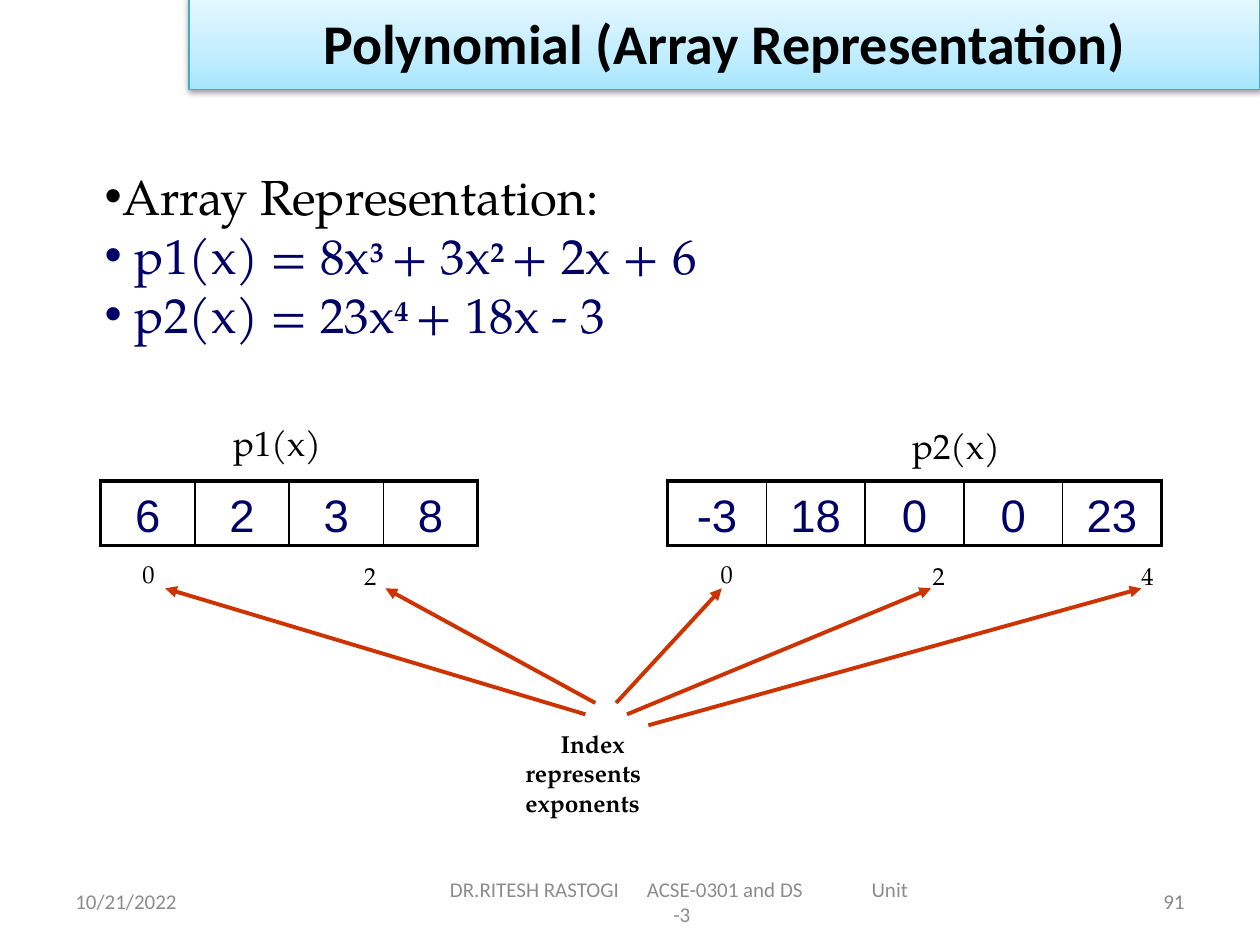
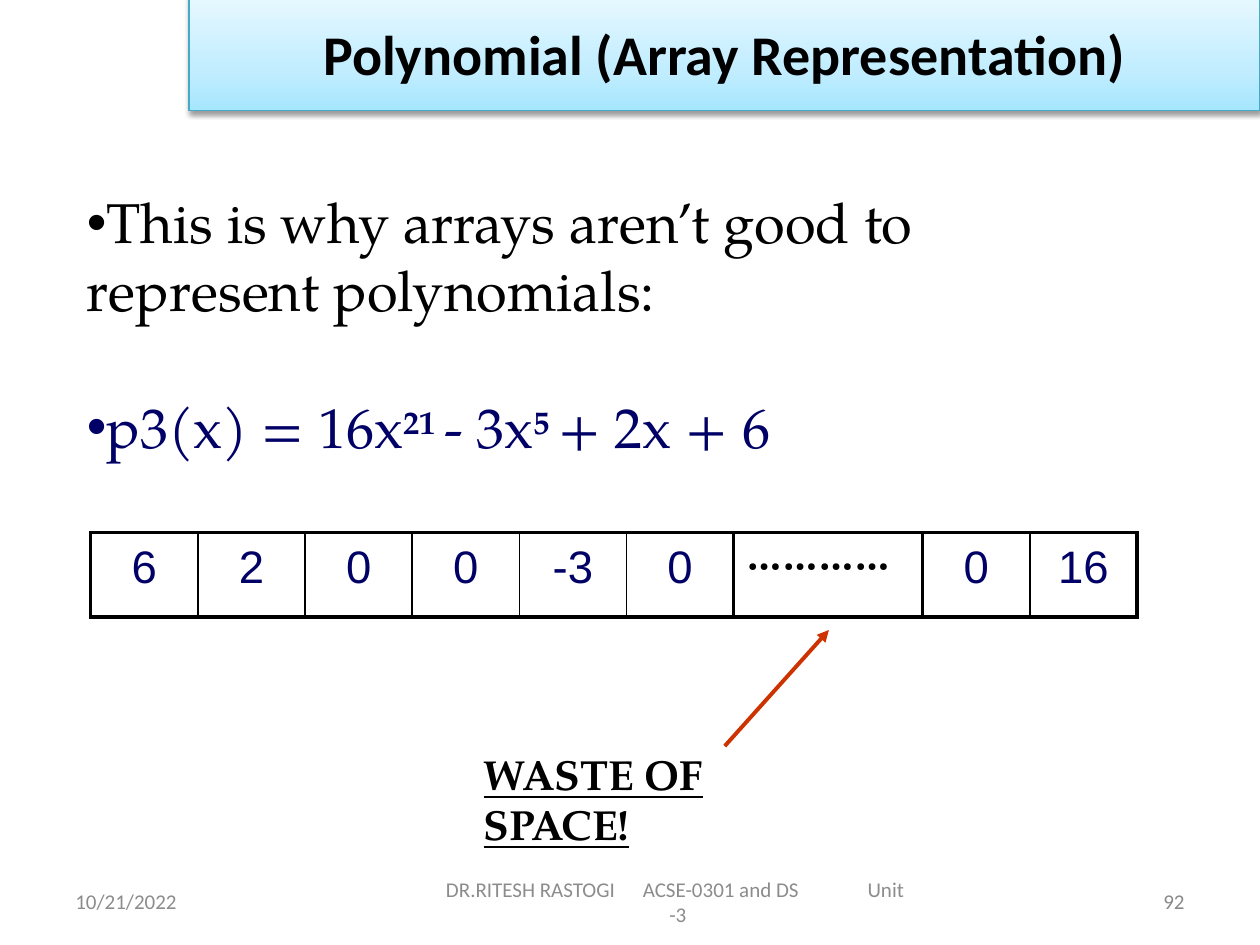
from pptx import Presentation
from pptx.dml.color import RGBColor
from pptx.enum.shapes import MSO_CONNECTOR, MSO_SHAPE
from pptx.enum.text import MSO_ANCHOR, PP_ALIGN
from pptx.oxml import parse_xml
from pptx.oxml.ns import nsdecls
from pptx.util import Cm, Pt

COLORS = {
    "ink": "000000", "navy": "000066", "arrow": "CC3300", "footer": "8C8C8C",
    "page": "898989", "band_edge": "46AAC5",
}
BAND_STOPS = [(0, "A7E6FF"), (35, "C1EDFF"), (100, "E7F8FF")]
SERIF, SANS, CELL_FONT = "TeX Gyre Pagella", "Calibri", "Arial"
GAP = "…………"

TITLE = "Polynomial (Array Representation)"
DATE = "10/21/2022"
COURSE = ["DR.RITESH RASTOGI\tACSE-0301 and DS\tUnit", "-3"]
COURSE_TABS = [3.97, 8.5]

SLIDES = [
    {
        "page": "91", "band_top": -0.1, "band_height": 1.9, "course_left": 8.82,
        "body": {"box": (2.01, 3.33, 12.52, 3.63), "size": 28, "lines": [
            {"text": "Array Representation:", "color": "ink", "hang": (0.46, -0.36)},
            {"text": "p1(x) = 8x^3 ^+ 3x^2 ^+ 2x + 6", "color": "navy", "hang": (0.71, -0.61)},
            {"text": "p2(x) = 23x^4 ^+ 18x - 3", "color": "navy", "hang": (0.71, -0.61)},
        ]},
        "arrays": [
            {"at": (2.03, 9.7), "cell": (1.9, 1.22), "values": ["6", "2", "3", "8"]},
            {"at": (13.46, 9.7), "cell": (1.99, 1.22), "values": ["-3", "18", "0", "0", "23"]},
        ],
        "labels": [
            ("p1(x)", (4.7, 8.46, 1.98, 0.9), {"size": 20}),
            ("p2(x)", (18.39, 8.53, 1.98, 0.9), {"size": 20}),
            ("0", (2.87, 11.23, 0.41, 0.64), {"size": 14}),
            ("2", (7.34, 11.28, 0.41, 0.64), {"size": 14}),
            ("0", (14.53, 11.23, 0.41, 0.64), {"size": 14}),
            ("2", (18.8, 11.28, 0.41, 0.64), {"size": 14}),
            ("4", (23.01, 11.28, 0.41, 0.64), {"size": 14}),
            ("Index represents exponents", (10.59, 14.66, 3.25, 1.83),
             {"size": 14, "bold": True, "hang": (0, 0.71)}),
        ],
        "arrows": [
            ((11.8, 14.4), (3.33, 11.86)), ((12, 14.17), (7.77, 11.86)),
            ((12.42, 14.17), (14.55, 11.86)), ((12.64, 14.4), (18.77, 11.86)),
            ((13.07, 14.62), (23.01, 11.86)),
        ],
    },
    {
        "page": "92", "band_top": -0.08, "band_height": 2.31, "course_left": 8.74,
        "body": {"box": (1.6, 3.76, 20.75, 5.49), "size": 32, "lines": [
            {"text": "This is why arrays aren’t good to represent polynomials:",
             "color": "ink", "hang": (0.15, 0)},
            {"text": "p3(x) = 16x^21 ^- 3x^5 ^+ 2x + 6", "color": "navy",
             "hang": (0.15, 0), "before": 40},
        ]},
        "arrays": [
            {"at": (1.83, 10.74), "cell": (2.16, 1.7), "gap_width": 3.81,
             "values": ["6", "2", "0", "0", "-3", "0", GAP, "0", "16"]},
        ],
        "labels": [
            ("WASTE OF SPACE!", (9.75, 15.06, 6.86, 1.09),
             {"size": 24, "bold": True, "underline": True}),
        ],
        "arrows": [((14.61, 15.04), (16.71, 12.7))],
    },
]


def rgb(name):
    return RGBColor.from_string(COLORS[name])


def write(paragraph, text, size=12, color="ink", font=SERIF, bold=False, underline=False,
          align=PP_ALIGN.LEFT, hang=None, bullet=False, tabs=(), before=0):
    properties = paragraph._p.get_or_add_pPr()
    if hang:
        properties.set("marL", str(Cm(hang[0])))
        properties.set("indent", str(Cm(hang[1])))
    if bullet:
        properties.append(parse_xml(f'<a:buFont {nsdecls("a")} typeface="Arial"/>'))
        properties.append(parse_xml(f'<a:buChar {nsdecls("a")} char="•"/>'))
    if tabs:
        stops = "".join(f'<a:tab pos="{Cm(stop)}" algn="l"/>' for stop in tabs)
        properties.append(parse_xml(f'<a:tabLst {nsdecls("a")}>{stops}</a:tabLst>'))
    paragraph.alignment = align
    if before:
        paragraph.space_before = Pt(before)
    for index, part in enumerate(text.split("^")):
        exponent = index % 2 == 1
        run = paragraph.add_run()
        run.text = part
        run.font.name, run.font.size = font, Pt(size)
        run.font.bold, run.font.underline = bold or exponent, underline
        run.font.color.rgb = rgb(color)
        if exponent:
            run._r.get_or_add_rPr().set("baseline", "25000")


def add_text(slide, box, lines, inset=0, anchor=MSO_ANCHOR.TOP, **style):
    frame = slide.shapes.add_textbox(*map(Cm, box)).text_frame
    frame.word_wrap = True
    frame.vertical_anchor = anchor
    frame.margin_left = frame.margin_right = Cm(inset)
    frame.margin_top, frame.margin_bottom = Cm(0.03), 0
    for index, line in enumerate(lines):
        paragraph = frame.add_paragraph() if index else frame.paragraphs[0]
        write(paragraph, **{**style, **line})


def add_band(slide, top, height):
    band = slide.shapes.add_shape(MSO_SHAPE.RECTANGLE, Cm(3.81), Cm(top), Cm(21.59), Cm(height))
    stops = "".join(f'<a:gs pos="{position * 1000}"><a:srgbClr val="{color}"/></a:gs>'
                    for position, color in BAND_STOPS)
    band._element.spPr.insert(2, parse_xml(
        f'<a:gradFill {nsdecls("a")} rotWithShape="1"><a:gsLst>{stops}</a:gsLst>'
        '<a:lin ang="16200000" scaled="0"/></a:gradFill>'))
    band.line.color.rgb = rgb("band_edge")
    band.line.width = Pt(0.75)
    band.shadow.inherit = False
    band._element.spPr.find("{*}effectLst").append(parse_xml(
        f'<a:outerShdw {nsdecls("a")} blurRad="{Pt(3.1)}" dist="{Pt(1.6)}" dir="5400000" '
        'rotWithShape="0"><a:srgbClr val="000000"><a:alpha val="38000"/></a:srgbClr>'
        '</a:outerShdw>'))
    band.text_frame.vertical_anchor = MSO_ANCHOR.MIDDLE
    write(band.text_frame.paragraphs[0], TITLE, size=32, font=SANS, bold=True,
          align=PP_ALIGN.CENTER)


def add_footer(slide, page, course_left):
    style = {"inset": 0.25, "anchor": MSO_ANCHOR.MIDDLE, "font": SANS, "color": "footer"}
    add_text(slide, (1.27, 17.65, 5.93, 1.02), [{"text": DATE}], **style)
    add_text(slide, (course_left, 17.65, 9.85, 1.02), [
        {"text": COURSE[0], "tabs": COURSE_TABS},
        {"text": COURSE[1], "align": PP_ALIGN.CENTER},
    ], **style)
    add_text(slide, (18.2, 17.65, 5.93, 1.02),
             [{"text": page, "color": "page", "align": PP_ALIGN.RIGHT}], **style)


def set_borders(cell, left, right):
    properties = cell._tc.get_or_add_tcPr()
    for index, (side, width) in enumerate(zip("LRTB", (left, right, 2.25, 2.25))):
        properties.insert(index, parse_xml(
            f'<a:ln{side} {nsdecls("a")} w="{Pt(width)}"><a:solidFill>'
            f'<a:srgbClr val="{COLORS["ink"]}"/></a:solidFill></a:ln{side}>'))


def add_array(slide, at, cell, values, gap_width=0):
    widths = [gap_width if value == GAP else cell[0] for value in values]
    grid = slide.shapes.add_table(1, len(values), *map(Cm, (*at, sum(widths), cell[1]))).table
    grid.first_row = grid.horz_banding = False
    grid.rows[0].height = Cm(cell[1])
    framed = [None, *values, None]
    edges = [2.25 if None in pair or GAP in pair else 1 for pair in zip(framed, framed[1:])]
    for index, (value, width) in enumerate(zip(values, widths)):
        grid.columns[index].width = Cm(width)
        slot = grid.cell(0, index)
        slot.fill.background()
        set_borders(slot, edges[index], edges[index + 1])
        slot.margin_left = Cm(0.25 if value == GAP else 0)
        slot.margin_right = slot.margin_bottom = 0
        slot.margin_top = Cm(0.15 if value == GAP else 0.2)
        style = ({"size": 24, "bold": True} if value == GAP else
                 {"size": 26, "font": CELL_FONT, "color": "navy", "align": PP_ALIGN.CENTER})
        write(slot.text_frame.paragraphs[0], value, **style)


def add_arrow(slide, tail, tip):
    arrow = slide.shapes.add_connector(MSO_CONNECTOR.STRAIGHT, *map(Cm, (*tail, *tip)))
    arrow.line.color.rgb = rgb("arrow")
    arrow.line.width = Pt(2.25)
    arrow.line._get_or_add_ln().append(parse_xml(f'<a:tailEnd {nsdecls("a")} type="triangle"/>'))
    arrow._element.spPr.append(parse_xml(f'<a:effectLst {nsdecls("a")}/>'))


def main():
    deck = Presentation()
    deck.slide_width, deck.slide_height = Cm(25.4), Cm(19.05)
    for content in SLIDES:
        slide = deck.slides.add_slide(deck.slide_layouts[6])
        add_band(slide, content["band_top"], content["band_height"])
        body = content["body"]
        add_text(slide, body["box"], body["lines"], size=body["size"], bullet=True)
        for array in content["arrays"]:
            add_array(slide, **array)
        for text, box, style in content["labels"]:
            add_text(slide, box, [{"text": text}], **style)
        for tail, tip in content["arrows"]:
            add_arrow(slide, tail, tip)
        add_footer(slide, content["page"], content["course_left"])
    deck.save("out.pptx")


if __name__ == "__main__":
    main()
